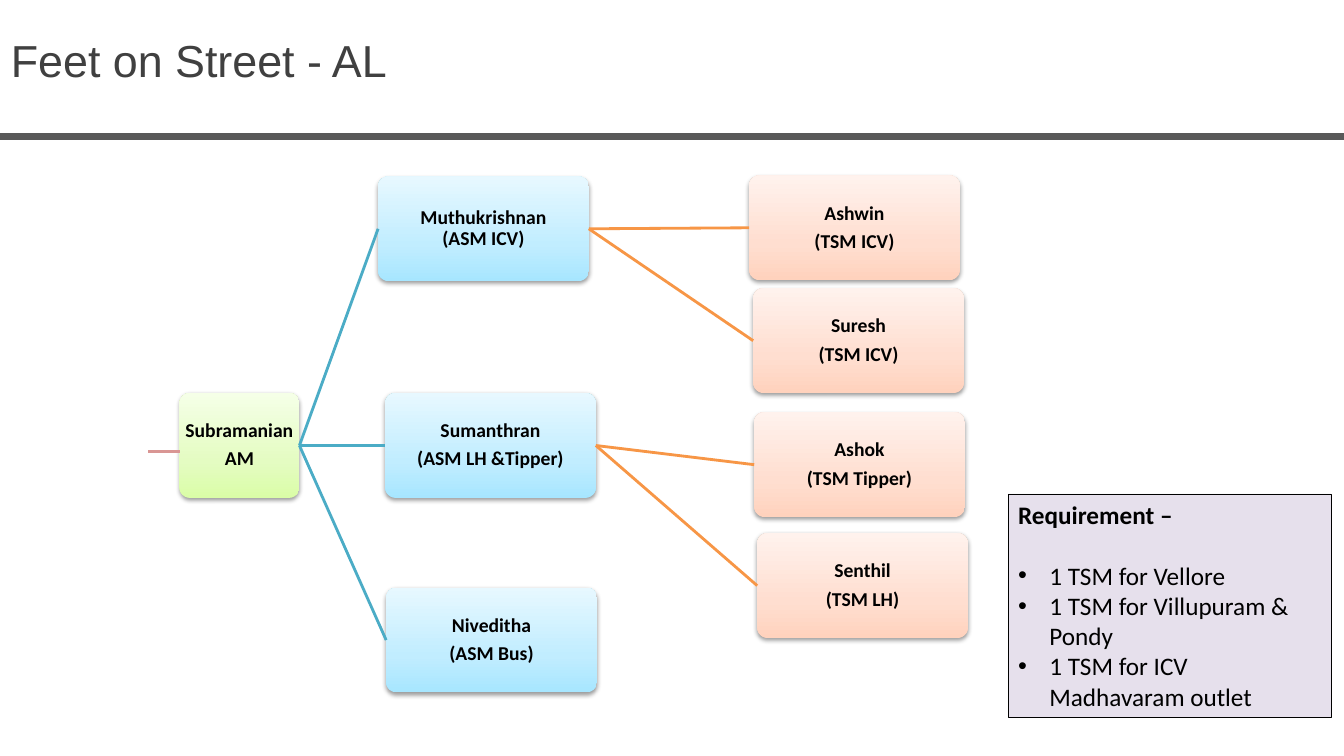
from copy import deepcopy

from pptx import Presentation
from pptx import oxml, util as u
from pptx.dml.color import RGBColor
from pptx.enum import shapes as sh, text as tx
from pptx.oxml.ns import nsdecls, qn

COLS, ROWS = 13.33, 7.5
BLACK = RGBColor(0x00, 0x00, 0x00)
GREY = RGBColor(0x40, 0x40, 0x40)
RULE = RGBColor(0x59, 0x59, 0x59)
TEAL = RGBColor(0x4B, 0xAC, 0xC6)
ORANGE = RGBColor(0xF7, 0x96, 0x46)
ROSE = RGBColor(0xD9, 0x96, 0x94)
LILAC = RGBColor(0xE6, 0xE0, 0xEC)
GREENS = [RGBColor.from_string(c) for c in ("DAFDA7", "E4FCC2", "F5FFE7")]
BLUES = [RGBColor.from_string(c) for c in ("A7E6FF", "C1EDFF", "E7F8FF")]
PEACHES = [RGBColor.from_string(c) for c in ("FFD2BD", "FFDED0", "FFF2ED")]
STOPS = (0, 0.35, 1)
NODE_W, NODE_H = 2.09, 1.04
LEFT, RIGHT = 1, 3

LEAD = ("Subramanian\nAM", 1.78, 3.9)
TEAM = [
    ("Muthukrishnan\v(ASM ICV)", 3.75, 1.75, [
        ("Ashwin\n(TSM ICV)", 7.43, 1.74),
        ("Suresh\n(TSM ICV)", 7.47, 2.86)]),
    ("Sumanthran\n(ASM LH &Tipper)", 3.82, 3.9, [
        ("Ashok\n(TSM Tipper)", 7.48, 4.09),
        ("Senthil\n(TSM LH)", 7.51, 5.29)]),
    ("Niveditha\n(ASM Bus)", 3.83, 5.83, []),
]
NEEDS = ["1 TSM for Vellore", "1 TSM for Villupuram & Pondy",
         "1 TSM for ICV Madhavaram outlet"]


def grid(*cells):
    """Turn one-inch columns and rows into lengths."""
    return [u.Inches(c) for c in cells]


def style(para, size, color, name="Calibri", bold=False):
    """Set the font of a paragraph's runs."""
    for run in para.runs:
        font = run.font
        font.name, font.size, font.bold = name, u.Pt(size), bold
        font.color.rgb = color


def shade(box, colors):
    """Fill a box with an upward gradient and give it a soft shadow."""
    box.fill.gradient()
    box.fill.gradient_angle = 90
    props = box._element.spPr
    stops = next(props.iter(qn("a:gsLst")))
    stops.insert(1, deepcopy(stops[0]))
    for stop, color, place in zip(box.fill.gradient_stops, colors, STOPS):
        stop.color.rgb = color
        stop.position = place
    box.line.fill.background()
    props.append(oxml.parse_xml(
        f'<a:effectLst {nsdecls("a")}><a:outerShdw blurRad="40000" '
        'dist="20000" dir="5400000" rotWithShape="0"><a:srgbClr val="000000">'
        '<a:alpha val="38000"/></a:srgbClr></a:outerShdw></a:effectLst>'))


def node(slide, label, x, y, colors, width=NODE_W):
    """Add one person's box."""
    box = slide.shapes.add_shape(
        sh.MSO_SHAPE.ROUNDED_RECTANGLE, *grid(x, y, width, NODE_H))
    box.adjustments[0] = 0.1
    shade(box, colors)
    frame = box.text_frame
    frame.word_wrap = True
    frame.vertical_anchor = tx.MSO_ANCHOR.MIDDLE
    frame.margin_left = frame.margin_right = u.Inches(0.01)
    frame.margin_top = frame.margin_bottom = u.Inches(0.01)
    frame.text = label
    for i, para in enumerate(frame.paragraphs):
        para.alignment = tx.PP_ALIGN.CENTER
        para.line_spacing = 0.9
        if i:
            para.space_before = u.Pt(5)
        style(para, 14, BLACK, bold=True)
    return box


def line(slide, ends, color, width):
    """Add a straight line between two grid points."""
    link = slide.shapes.add_connector(sh.MSO_CONNECTOR.STRAIGHT, *grid(*ends))
    link.line.color.rgb = color
    link.line.width = u.Pt(width)
    link._element.spPr.append(
        oxml.parse_xml(f'<a:effectLst {nsdecls("a")}/>'))
    return link


def join(slide, boss, staff, color):
    """Link the right side of one box to the left side of another."""
    link = line(slide, (0, 0, 1, 1), color, 2)
    link.begin_connect(boss, RIGHT)
    link.end_connect(staff, LEFT)


def title(slide, label):
    """Add the slide's heading and the rule below it."""
    line(slide, (0, 1.35, COLS, 1.35), RULE, 5)
    frame = slide.shapes.add_textbox(*grid(0.01, 0.28, 9.56, 0.64)).text_frame
    frame.word_wrap = True
    frame.text = label
    style(frame.paragraphs[0], 32, GREY, "Arial")


def chart(slide):
    """Draw the team tree from left to right."""
    lead = node(slide, *LEAD, GREENS, 1.19)
    for label, x, y, staff in TEAM:
        boss = node(slide, label, x, y, BLUES)
        join(slide, lead, boss, TEAL)
        for person in staff:
            join(slide, boss, node(slide, *person, PEACHES), ORANGE)
    line(slide, (1.47, 4.48, 1.79, 4.48), ROSE, 2.25)


def panel(slide, head, items):
    """Add the bordered list of open needs."""
    box = slide.shapes.add_shape(
        sh.MSO_SHAPE.RECTANGLE, *grid(10, 4.9, 3.2, 2.22))
    box.shadow.inherit = False
    box.fill.solid()
    box.fill.fore_color.rgb = LILAC
    box.line.color.rgb = BLACK
    box.line.width = u.Pt(0.25)
    frame = box.text_frame
    frame.word_wrap = True
    frame.vertical_anchor = tx.MSO_ANCHOR.TOP
    frame.text = "\n".join([head, *items])
    first, *rest = frame.paragraphs
    first.space_after = u.Pt(22)
    first.alignment = tx.PP_ALIGN.LEFT
    style(first, 18, BLACK, bold=True)
    for para in rest:
        props = para._p.get_or_add_pPr()
        props.set("marL", str(u.Inches(0.31)))
        props.set("indent", str(-u.Inches(0.31)))
        for tag in ('buFont typeface="Arial"', 'buChar char="•"'):
            props.append(oxml.parse_xml(f'<a:{tag} {nsdecls("a")}/>'))
        para.alignment = tx.PP_ALIGN.LEFT
        style(para, 18, BLACK)


def main():
    """Build and save the slide."""
    deck = Presentation()
    deck.slide_width, deck.slide_height = grid(COLS, ROWS)
    slide = deck.slides.add_slide(deck.slide_layouts[6])
    title(slide, "Feet on Street - AL")
    chart(slide)
    panel(slide, "Requirement –", NEEDS)
    deck.save("out.pptx")


if __name__ == "__main__":
    main()
